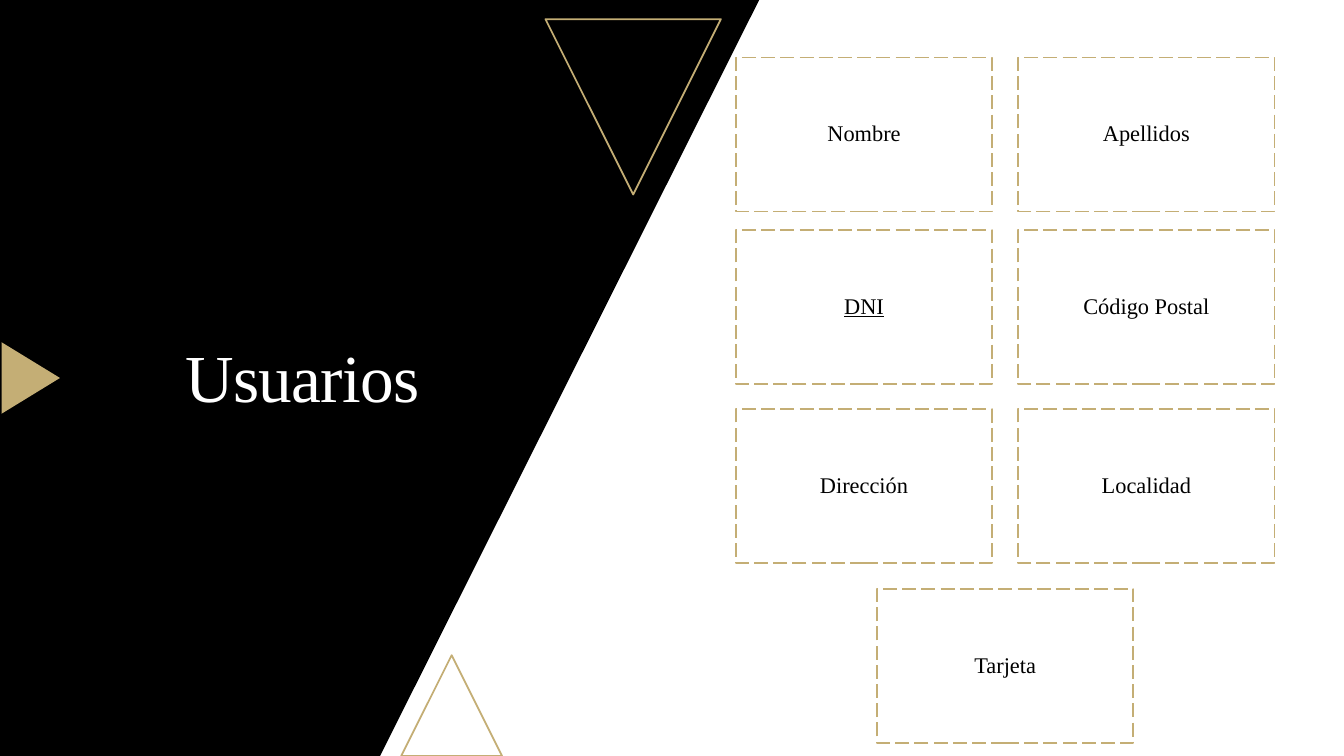
from dataclasses import dataclass

from pptx import Presentation
from pptx.dml.color import RGBColor
from pptx.enum.dml import MSO_LINE
from pptx.enum.shapes import MSO_SHAPE
from pptx.enum.text import MSO_ANCHOR, PP_ALIGN
from pptx.util import Pt

PX = 9144  # EMU per px, 100 px to the inch
RECT = MSO_SHAPE.RECTANGLE
TRIANGLE = MSO_SHAPE.ISOSCELES_TRIANGLE
DASH = MSO_LINE.LONG_DASH
MIDDLE = MSO_ANCHOR.MIDDLE
CENTER = PP_ALIGN.CENTER


@dataclass(frozen=True)
class Theme:
    black: RGBColor = RGBColor(0, 0, 0)
    white: RGBColor = RGBColor(255, 255, 255)
    gold: RGBColor = RGBColor(0xC4, 0xAE, 0x75)
    font: str = "Times New Roman"
    title: Pt = Pt(48)
    label: Pt = Pt(16)
    line: Pt = Pt(1.25)


THEME = Theme()
CARD_W, CARD_H, INSET = 254, 153, 7
LEFT, RIGHT = 730, 1010
CENTRE = (LEFT + RIGHT) // 2
ROWS = [
    (57, [(LEFT, "Nombre"), (RIGHT, "Apellidos")]),
    (228, [(LEFT, "DNI"), (RIGHT, "Código Postal")]),
    (406, [(LEFT, "Dirección"), (RIGHT, "Localidad")]),
    (584, [(CENTRE, "Tarjeta")]),
]
KEY = "DNI"


def scale(*sizes):
    return [size * PX for size in sizes]


def paint(shape, fill=None, line=None):
    """Set fill and outline; None leaves that part empty."""
    shape.shadow.inherit = False
    if fill is None:
        shape.fill.background()
    else:
        shape.fill.solid()
        shape.fill.fore_color.rgb = fill
    if line is None:
        shape.line.fill.background()
    else:
        shape.line.color.rgb = line
        shape.line.width = THEME.line


def write(frame, text, size, color):
    """Centre one line of text in the frame and return its run."""
    frame.word_wrap = True
    frame.vertical_anchor = MIDDLE
    para = frame.paragraphs[0]
    para.alignment = CENTER
    para.line_spacing = 0.9
    run = para.add_run()
    run.text = text
    run.font.name = THEME.font
    run.font.size = size
    run.font.color.rgb = color
    return run


def add_panel(slide):
    pen = slide.shapes.build_freeform(0, 0, scale=PX)
    pen.add_line_segments([(753, 0), (377, 750), (0, 750)], close=True)
    paint(pen.convert_to_shape(), fill=THEME.black)


def add_triangle(slide, box, turn=0, fill=None, line=None):
    shape = slide.shapes.add_shape(TRIANGLE, *scale(*box))
    shape.rotation = turn
    paint(shape, fill, line)


def add_title(slide, text):
    box = slide.shapes.add_textbox(*scale(60, 214, 480, 328))
    run = write(box.text_frame, text, THEME.title, THEME.white)
    run.font._element.set("spc", "-50")


def add_card(slide, left, top, text):
    card = slide.shapes.add_shape(RECT, *scale(left, top, CARD_W, CARD_H))
    paint(card, line=THEME.gold)
    card.line.dash_style = DASH
    frame = card.text_frame
    frame.margin_left = frame.margin_right = INSET * PX
    frame.margin_top = frame.margin_bottom = INSET * PX
    run = write(frame, text, THEME.label, THEME.black)
    if text == KEY:
        run.font.underline = True


def main():
    deck = Presentation()
    deck.slide_width, deck.slide_height = scale(1333, 750)
    slide = deck.slides.add_slide(deck.slide_layouts[6])
    add_panel(slide)
    add_triangle(slide, (398, 650, 100, 100), line=THEME.gold)
    add_triangle(slide, (541, 19, 174, 174), turn=180, line=THEME.gold)
    add_triangle(slide, (-5, 346, 71, 58), turn=90, fill=THEME.gold)
    add_title(slide, "Usuarios")
    for top, cards in ROWS:
        for left, text in cards:
            add_card(slide, left, top, text)
    deck.save("out.pptx")


if __name__ == "__main__":
    main()
